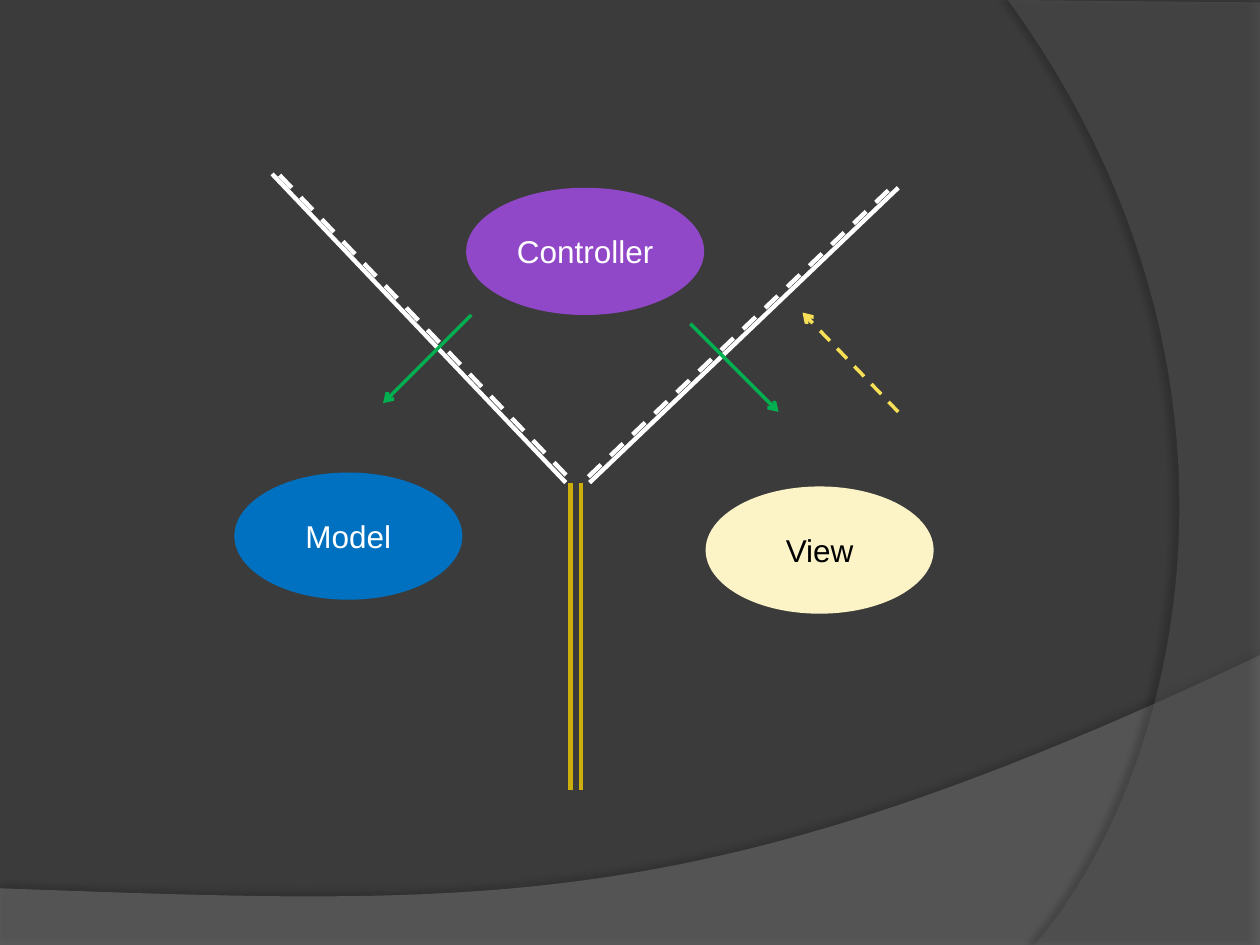
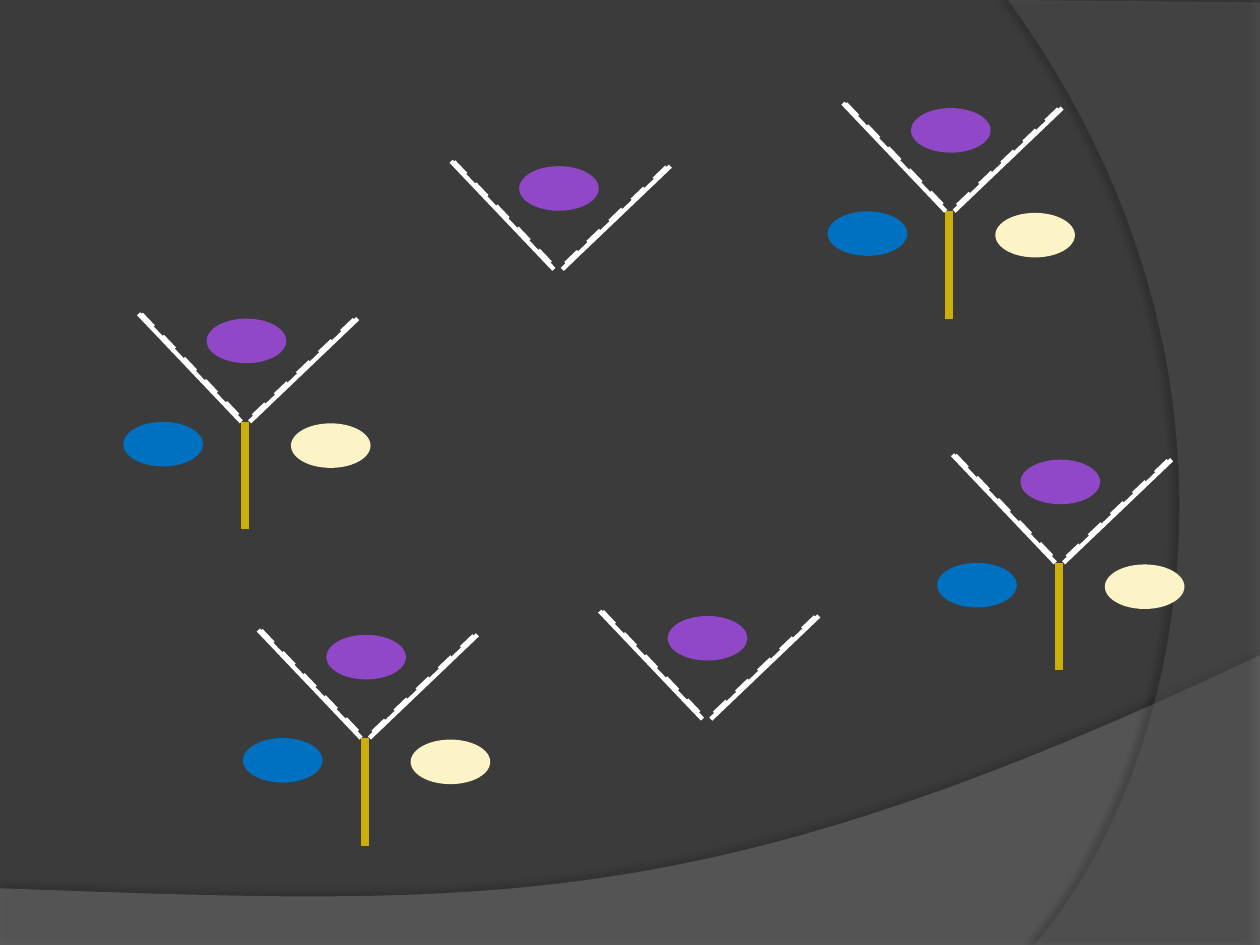
from pptx import Presentation
from pptx.dml.color import RGBColor
from pptx.enum import dml, shapes, text
from pptx.oxml import parse_xml
from pptx.oxml.ns import nsdecls, qn
from pptx.util import Pt

WIDTH, HEIGHT = 720, 540
BACKGROUND, WAVE, SIDE = "3B3B3B", "7F7F7F", "5E5E5E"
WHITE, BLACK, GOLD = "FFFFFF", "000000", "CCAF0A"
GREEN, YELLOW = "00B050", "F7DF56"
FONT = "Arial"

# Road lines at full size, measured from the tip of the left arm: x1, y1, x2, y2
STEM = [(170.6, 176.4, 170.6, 352.1), (176.4, 176.4, 176.4, 352.1)]
DASHED_ARMS = [(352.1, 9.4, 175.7, 177.8), (4.3, 0.7, 172.8, 177.1)]
SOLID_ARMS = [(0, 0, 167.8, 176.4), (357.8, 7.9, 181.4, 176.4)]

# Ovals: label, fill, text colour
ROLES = [("Controller", "9148C8", WHITE), ("Model", "0070C0", WHITE),
         ("View", "FCF4C7", BLACK)]
# Oval boxes at full size, in the order of the roles
LABELLED_OVALS = [(110.9, 7.9, 136, 72.7), (-21.6, 170.6, 130.3, 72.7),
                  (247.7, 178.6, 130.3, 72.7)]
SMALL_OVALS = [(x, y, 130, 72.7) for x, y in [(111, 8), (-25, 176.5), (248.7, 179)]]


def rgb(hex_color):
    return RGBColor.from_string(hex_color)


def set_shadow(shape, alpha, blur, distance, angle):
    shape._element.spPr.append(parse_xml(
        f'<a:effectLst {nsdecls("a")}><a:outerShdw blurRad="{Pt(blur)}" '
        f'dist="{Pt(distance)}" dir="{angle * 60000}" rotWithShape="0">'
        f'<a:srgbClr val="{BLACK}"><a:alpha val="{alpha * 1000}"/></a:srgbClr>'
        '</a:outerShdw></a:effectLst>'))


def bezier(p0, p1, p2, p3, steps=48):
    """Points along a cubic curve, without its start."""
    points = []
    for i in range(1, steps + 1):
        t = i / steps
        weights = ((1 - t) ** 3, 3 * t * (1 - t) ** 2, 3 * t * t * (1 - t), t ** 3)
        points.append(tuple(sum(w * p[axis] for w, p in zip(weights, (p0, p1, p2, p3)))
                            for axis in (0, 1)))
    return points


def add_band(s, points, color, alpha, shadow):
    points = [(Pt(x), Pt(y)) for x, y in points]
    builder = s.shapes.build_freeform(*points[0])
    builder.add_line_segments(points[1:], close=True)
    sp = builder.convert_to_shape()
    sp.fill.solid()
    sp.fill.fore_color.rgb = rgb(color)
    clr = sp._element.spPr.find(qn("a:solidFill"))[0]
    clr.append(parse_xml(f'<a:alpha {nsdecls("a")} val="{alpha * 1000}"/>'))
    sp.line.fill.background()
    set_shadow(sp, *shadow)
    return sp


def build_master(prs, s):
    """Background and the two sweeping bands, shared by all slides."""
    master = prs.slide_master
    master.background.fill.solid()
    master.background.fill.fore_color.rgb = rgb(BACKGROUND)
    wave = [(0, 507.6), (0, 540.7), (WIDTH, 540.7), (WIDTH, 374.4)]
    wave += bezier(wave[-1], (402.5, 524.9), (281.5, 517.7), wave[0])
    side = [(WIDTH, 1.4), (WIDTH, HEIGHT), (591.1, HEIGHT)]
    side += bezier(side[-1], (673.2, 445.7), (733, 216), (576, 0))
    bands = [add_band(s, wave, WAVE, 45, (35, 4, 3.5, 270)),
             add_band(s, side, SIDE, 40, (45, 4, 4, 180))]
    # The bands lie behind the master's placeholders
    for i, sp in enumerate(bands):
        sp._element.nvSpPr.cNvPr.set("id", str(101 + i))
        master.shapes._spTree.insert(2 + i, sp._element)


def add_line(container, ends, color, width=2.5, dashed=False, arrow=False):
    line = container.add_connector(shapes.MSO_CONNECTOR.STRAIGHT, *map(Pt, ends))
    line.line.color.rgb = rgb(color)
    line.line.width = Pt(width)
    if dashed:
        line.line.dash_style = dml.MSO_LINE.DASH
    if arrow:
        line.line._get_or_add_ln().append(
            parse_xml(f'<a:tailEnd {nsdecls("a")} type="arrow"/>'))
    line._element.spPr.append(parse_xml(f'<a:effectLst {nsdecls("a")}/>'))


def add_oval(container, box, fill, label=None, color=WHITE):
    sp = container.add_shape(shapes.MSO_SHAPE.OVAL, *map(Pt, box))
    sp.shadow.inherit = False
    sp.fill.solid()
    sp.fill.fore_color.rgb = rgb(fill)
    sp.line.fill.background()
    if label:
        tf = sp.text_frame
        tf.vertical_anchor = text.MSO_ANCHOR.MIDDLE
        p = tf.paragraphs[0]
        p.alignment = text.PP_ALIGN.CENTER
        r = p.add_run()
        r.text = label
        r.font.name, r.font.size = FONT, Pt(18)
        r.font.color.rgb = rgb(color)


def add_mvc(container, left, top, ovals, scale=1, complete=True, labels=False):
    """One fork of roads; an incomplete one has only its arms and controller."""
    def place(ends):
        return [origin + scale * v for origin, v in zip((left, top) * 2, ends)]

    if complete:
        for ends in STEM:
            add_line(container, place(ends), GOLD)
    for ends in DASHED_ARMS:
        add_line(container, place(ends), WHITE, dashed=True)
    for ends in SOLID_ARMS:
        add_line(container, place(ends), WHITE)
    shown = len(ROLES) if complete else 1
    for (label, fill, color), (x, y, w, h) in list(zip(ROLES, ovals))[:shown]:
        box = (left + scale * x, top + scale * y, scale * w, scale * h)
        add_oval(container, box, fill, label if labels else None, color)


def build_single_mvc(s):
    left, top = 155.5, 99.4
    add_mvc(s.shapes, left, top, LABELLED_OVALS, labels=True)
    # Allowed calls across the lines, and the view's reply
    for (x1, y1, x2, y2), color, dashed in [
            ((113.8, 80.6, 63.4, 131), GREEN, False),
            ((239, 85.6, 289.4, 136), GREEN, False),
            ((357.8, 136, 303.1, 79.2), YELLOW, True)]:
        add_line(s.shapes, (left + x1, top + y1, left + x2, top + y2), color,
                 width=2, dashed=dashed, arrow=True)


def build_many_mvcs(s):
    for left, top, complete in [(257.8, 92.2, False), (79.2, 179.3, True),
                                (544.3, 259.9, True), (342.7, 349.2, False),
                                (147.6, 360, True), (481.7, 59, True)]:
        group = s.shapes.add_group_shape()
        add_mvc(group.shapes, left, top, SMALL_OVALS, 0.35, complete)


def main():
    prs = Presentation()
    prs.slide_width, prs.slide_height = Pt(WIDTH), Pt(HEIGHT)
    blank = prs.slide_layouts[6]
    s = prs.slides.add_slide(blank)
    build_master(prs, s)
    build_single_mvc(s)
    build_many_mvcs(prs.slides.add_slide(blank))
    prs.save("out.pptx")


if __name__ == "__main__":
    main()
